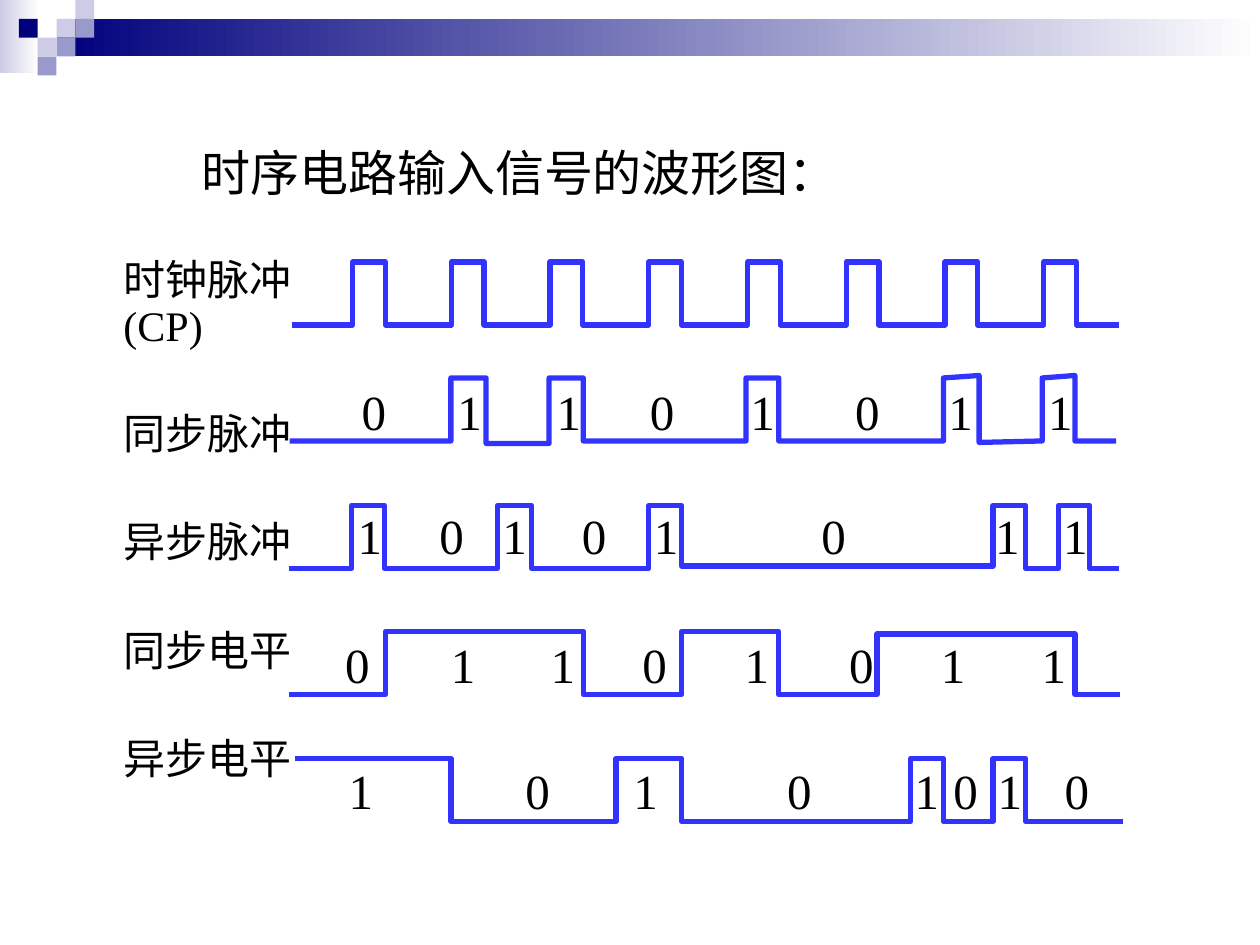
import dataclasses

import pptx
import pptx.dml.color
import pptx.enum.shapes
import pptx.enum.text
import pptx.util

Cm = pptx.util.Cm
Pt = pptx.util.Pt
RGB = pptx.dml.color.RGBColor.from_string


@dataclasses.dataclass(frozen=True)
class Theme:
    font: str = "Times New Roman"
    text: str = "000000"
    wave: str = "3333FF"
    navy: str = "00007D"
    mid: str = "9999CC"
    pale: str = "CCCCE6"
    white: str = "FFFFFF"
    big: int = 28
    label: int = 24
    line: int = 3


theme = Theme()


def write(sp, lines, size, spacing=None):
    """Fill a shape with one left-aligned paragraph, broken into lines."""
    tf = sp.text_frame
    tf.word_wrap = False
    tf.auto_size = pptx.enum.text.MSO_AUTO_SIZE.SHAPE_TO_FIT_TEXT
    tf.vertical_anchor = pptx.enum.text.MSO_ANCHOR.TOP
    p = tf.paragraphs[0]
    p.alignment = pptx.enum.text.PP_ALIGN.LEFT
    if spacing:
        p.line_spacing = spacing
    for i, line in enumerate(lines):
        if i:
            p.add_line_break()
        r = p.add_run()
        r.text = line
        r.font.name = theme.font
        r.font.size = Pt(size)
        r.font.color.rgb = RGB(theme.text)


def add_block(left, top, width, height, *colors):
    """Add a borderless rectangle; two colours make a left-to-right fade."""
    sp = s.shapes.add_shape(pptx.enum.shapes.MSO_SHAPE.RECTANGLE,
                            Cm(left), Cm(top), Cm(width), Cm(height))
    sp.shadow.inherit = False
    sp.line.fill.background()
    if len(colors) == 1:
        sp.fill.solid()
        sp.fill.fore_color.rgb = RGB(colors[0])
    else:
        sp.fill.gradient()
        sp.fill.gradient_angle = 180
        for stop, color in zip(sp.fill.gradient_stops, reversed(colors)):
            stop.color.rgb = RGB(color)


prs = pptx.Presentation()
prs.slide_width = Cm(25.4)
prs.slide_height = Cm(19.05)
s = prs.slides.add_slide(prs.slide_layouts[5])

# Header band and its checker of small squares
add_block(0, 0, 0.79, 1.47, theme.pale, theme.white)
add_block(1.14, 0.38, 24.26, 0.76, theme.navy, theme.white)
tile = 0.38
for col, row, color in [
    (3, 1, theme.pale), (4, 0, theme.pale), (4, 1, theme.mid),
    (2, 2, theme.pale), (1, 1, theme.navy), (3, 2, theme.mid),
    (2, 3, theme.mid),
]:
    add_block(col * tile, row * tile, tile, tile, color)

title = s.shapes.title
title.left, title.top = Cm(3.81), Cm(2.74)
title.width, title.height = Cm(13.34), Cm(1.45)
write(title, ["时序电路输入信号的波形图："], theme.big)

# Each signal: label lines and top, wave top, start, edges, end, first level,
# small vertical shifts by corner number, digits with their top and lefts
clock_edges = [7.11 + 1.99 * k + d for k in range(8) for d in (0, 0.66)]
signals = [
    (["时钟脉冲", "(CP)"], 5.11, 5.28, 5.89, clock_edges, 22.56, 0, {},
     "", 0, []),
    (["同步脉冲"], 8.2, 7.62, 5.84,
     [9.09, 9.8, 11.07, 11.76, 15.04, 15.7, 19.02, 19.74, 21.01, 21.67],
     22.5, 0, {4: 0.05, 5: 0.05, 15: -0.05, 16: 0.03, 19: -0.05},
     "01101011", 7.57,
     [7.04, 8.97, 10.97, 12.85, 14.88, 16.99, 18.87, 20.88]),
    (["异步脉冲"], 10.39, 10.19, 5.82,
     [7.09, 7.75, 10.03, 10.72, 13.08, 13.74, 20.02, 20.68, 21.34, 21.97],
     22.56, 0, {12: -0.05, 13: -0.05},
     "10101011", 10.06,
     [6.96, 8.61, 9.88, 11.48, 12.93, 16.31, 19.81, 21.18]),
    (["同步电平"], 12.57, 12.73, 5.82,
     [7.77, 11.76, 13.74, 15.7, 17.68, 21.67],
     22.58, 0, {10: 0.05, 11: 0.05},
     "01101011", 12.67,
     [6.71, 8.84, 10.85, 12.7, 14.76, 16.87, 18.72, 20.75]),
    (["异步电平"], 14.76, 15.29, 5.94,
     [9.09, 12.42, 13.74, 18.36, 19.02, 20.02, 20.68],
     22.63, 1, {},
     "10101010", 15.21,
     [6.78, 10.34, 12.52, 15.62, 18.19, 18.97, 19.86, 21.21]),
]
swing = 1.27

for (label, label_top, wave_top, start, edges, end, level, shifts,
     digits, digit_top, digit_lefts) in signals:
    corners = [(start, level)]
    for x in edges:
        corners += [(x, level), (x, 1 - level)]
        level = 1 - level
    corners.append((end, level))
    points = [(Cm(x), Cm(wave_top + swing * (1 - high) + shifts.get(i, 0)))
              for i, (x, high) in enumerate(corners)]
    builder = s.shapes.build_freeform(*points[0], scale=1.0)
    builder.add_line_segments(points[1:], close=False)
    wave = builder.convert_to_shape()
    wave.shadow.inherit = False
    wave.fill.background()
    wave.line.color.rgb = RGB(theme.wave)
    wave.line.width = Pt(theme.line)

    box = s.shapes.add_textbox(Cm(2.24), Cm(label_top), Cm(3.89),
                               Cm(0.25 + 0.92 * len(label)))
    write(box, label, theme.label, spacing=0.9)

    for digit, left in zip(digits, digit_lefts):
        box = s.shapes.add_textbox(Cm(left), Cm(digit_top), Cm(0.99), Cm(1.45))
        write(box, [digit], theme.big)

prs.save("out.pptx")
